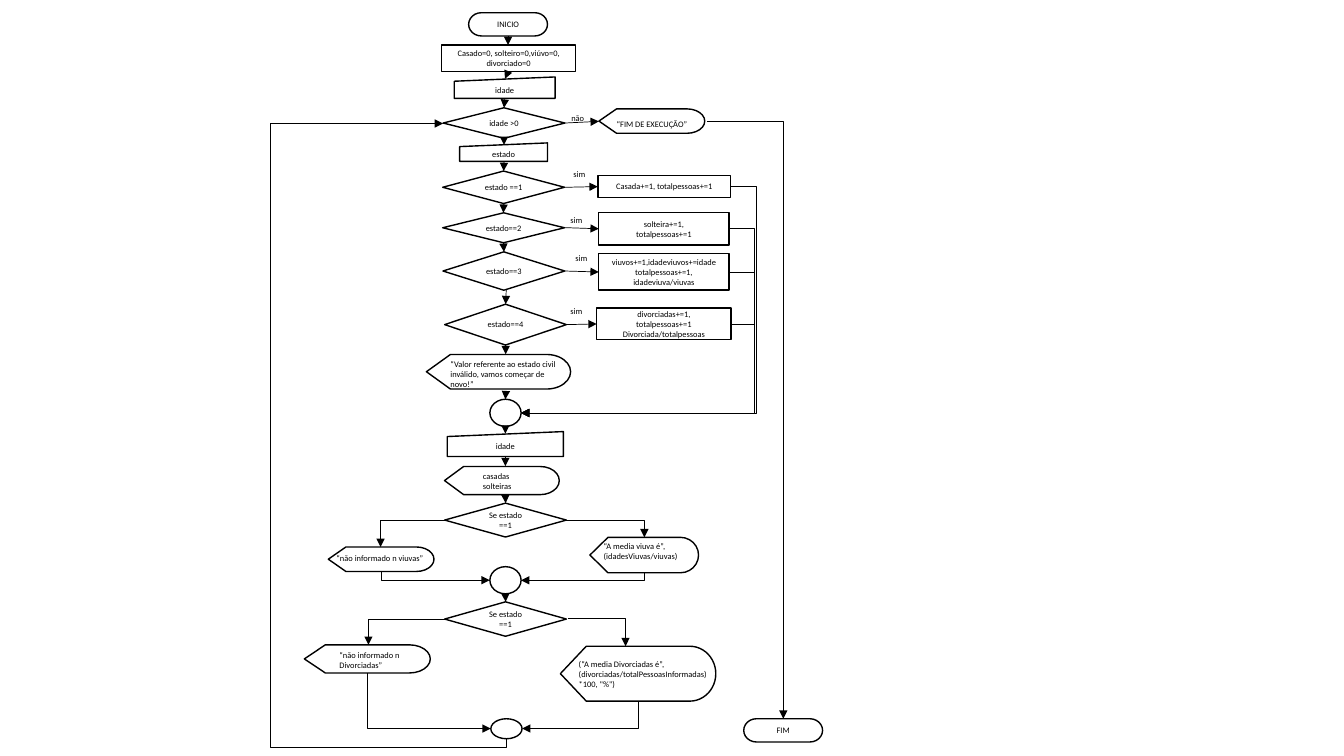
from lxml.etree import SubElement
from pptx import Presentation
from pptx.dml.color import RGBColor
from pptx.enum.shapes import MSO_CONNECTOR as LINK, MSO_SHAPE as FLOW
from pptx.enum.text import MSO_ANCHOR, PP_ALIGN
from pptx.oxml.ns import qn
from pptx.util import Pt

BLACK = RGBColor(0, 0, 0)
WHITE = RGBColor(255, 255, 255)

deck = Presentation()
deck.slide_width, deck.slide_height = Pt(960), Pt(540)
slide = deck.slides.add_slide(deck.slide_layouts[6])


def write(shape, text, align, wrap=True):
    """Fill a shape with 6 pt text, one paragraph per line."""
    frame = shape.text_frame
    frame.word_wrap = wrap
    frame.text = text
    for paragraph in frame.paragraphs:
        paragraph.alignment = align
        paragraph.font.size = Pt(6)
        paragraph.font.name = "Calibri"
        paragraph.font.color.rgb = BLACK


def arrow(*route):
    """Draw an arrow along the points; bends are traced with the level leg first."""
    drop_first = len(route) > 2 and route[0][0] == route[1][0]
    trace = route[::-1] if drop_first else route
    (x1, y1), (x2, y2) = trace[0], trace[-1]
    kind = LINK.STRAIGHT if len(route) == 2 else LINK.ELBOW
    link = slide.shapes.add_connector(kind, Pt(x1), Pt(y1), Pt(x2), Pt(y2))
    link.line.width = Pt(0.5)
    link.line.color.rgb = BLACK
    properties = link.element.spPr
    if len(route) > 2:
        geometry = properties.find(qn("a:prstGeom"))
        geometry.set("prst", f"bentConnector{len(route) - 1}")
        guides = geometry.find(qn("a:avLst"))
        if guides is None:
            guides = SubElement(geometry, qn("a:avLst"))
        ratios = []
        if len(route) > 3:
            ratios.append((trace[1][0] - x1) / (x2 - x1))
        if len(route) > 4:
            ratios.append((trace[2][1] - y1) / (y2 - y1))
        for number, ratio in enumerate(ratios, 1):
            name = "adj1" if len(route) == 4 else f"adj{number}"
            SubElement(guides, qn("a:gd"), name=name, fmla=f"val {round(ratio * 100000)}")
    tip = "a:headEnd" if drop_first else "a:tailEnd"
    SubElement(properties.find(qn("a:ln")), qn(tip), type="triangle")
    SubElement(properties, qn("a:effectLst"))


# Flowchart steps by kind: left, top, width, height, text
steps = {
    FLOW.FLOWCHART_TERMINATOR: [
        (337.5, 9.2, 56.4, 16.6, "INICIO"),
        (535.5, 517.4, 56.4, 16.6, "FIM"),
    ],
    FLOW.FLOWCHART_PROCESS: [
        (315.4, 32.2, 95.8, 19, "Casado=0, solteiro=0,viúvo=0, divorciado=0"),
        (427, 125.3, 95, 16, "Casada+=1, totalpessoas+=1"),
        (427.7, 151.9, 93, 23, "solteira+=1,\ntotalpessoas+=1"),
        (427.7, 181.2, 93, 26,
         "viuvos+=1,idadeviuvos+=idade\ntotalpessoas+=1,\nidadeviuva/viuvas"),
        (426.2, 220.1, 96, 22.4, "divorciadas+=1,\ntotalpessoas+=1\nDivorciada/totalpessoas"),
    ],
    FLOW.FLOWCHART_MANUAL_INPUT: [
        (324.5, 55, 72, 15.3, "idade"),
        (328.3, 102.1, 62.8, 13.2, "estado"),
        (319.5, 308.3, 83, 17.8, "idade"),
    ],
    FLOW.FLOWCHART_DECISION: [
        (left, top, 87, height, text) for left, top, height, text in [
            (316.5, 77, 21.8, "idade >0"),
            (316.2, 122.2, 23.2, "estado ==1"),
            (316.2, 152, 21.4, "estado==2"),
            (316.4, 179.9, 27.4, "estado==3"),
            (317.6, 217.3, 29.2, "estado==4"),
            (317.6, 359.4, 24.2, "Se estado ==1"),
            (317.6, 429.9, 24.6, "Se estado ==1"),
        ]
    ],
    FLOW.FLOWCHART_CONNECTOR: [
        (349.9, 285.2, 22.3, 19.4, ""),
        (349.9, 404.8, 22.3, 19.4, ""),
        (350.6, 513.4, 22.3, 14.3, ""),
    ],
    FLOW.FLOWCHART_DISPLAY: [
        (304.6, 253.2, 103, 24.7, ""),
        (317.5, 333.2, 82, 20.1, ""),
        (421.4, 383.8, 77.6, 25.3, ""),
        (234.5, 390.7, 75.5, 17.5, ""),
        (400.3, 461.6, 111, 39.2, ""),
        (217.4, 460.6, 90, 20.1, ""),
        (427.8, 77.8, 75.6, 17.4, ""),
    ],
}
# The two terminators keep their tops in line with the chart's edges
steps[FLOW.FLOWCHART_TERMINATOR] = [
    (334.8, 9.1, 56.3, 16.6, "INICIO"),
    (531.3, 513.4, 56.3, 16.6, "FIM"),
]
for kind, places in steps.items():
    for left, top, width, height, text in places:
        step = slide.shapes.add_shape(kind, Pt(left), Pt(top), Pt(width), Pt(height))
        step.shadow.inherit = False
        step.line.color.rgb = BLACK
        step.line.width = Pt(1)
        if kind == FLOW.FLOWCHART_DISPLAY:
            step.fill.background()
        else:
            step.fill.solid()
            step.fill.fore_color.rgb = WHITE
        if text:
            step.text_frame.vertical_anchor = MSO_ANCHOR.MIDDLE
            write(step, text, PP_ALIGN.CENTER)

# Branch labels and messages: left, top, width, height, text, wraps
captions = [
    (401, 77, 25.2, 14.4, "não", True),
    (402.5, 117.4, 26, 14.4, "sim", True),
    (400.3, 149.8, 26, 14.4, "sim", True),
    (403.9, 177.1, 26, 14.4, "sim", True),
    (400.3, 215.3, 26, 14.4, "sim", True),
    (314.6, 252.7, 93, 28.8, "“Valor referente ao estado civil inválido, vamos começar de novo!”", True),
    (337.9, 332.8, 60, 21.6, "casadas\nsolteiras", True),
    (424.1, 383.2, 72.7, 21.6, "“A media viuva é”, (idadesViuvas/viuvas)", True),
    (233.3, 391.2, 77, 14.4, "“não informado n viuvas”", True),
    (406.3, 467.3, 106, 28.8,
     "(“A media Divorciadas é”, (divorciadas/totalPessoasInformadas)*100, \"%\")", True),
    (235.4, 460.6, 77, 21.6, "“não informado n Divorciadas”", True),
    (433.4, 81.4, 65.5, 14.4, "“FIM DE EXECUÇÃO”", False),
]
for left, top, width, height, text, wraps in captions:
    caption = slide.shapes.add_textbox(Pt(left), Pt(top), Pt(width), Pt(height))
    write(caption, text, PP_ALIGN.LEFT, wraps)

# Main column, top to bottom: start x, start y, end x, end y
for x1, y1, x2, y2 in [
    (362.9, 25.5, 362.9, 32.2), (362.9, 51.2, 360.7, 56.3),
    (360.7, 70.3, 360, 77), (360, 98.8, 360, 103.5),
    (360, 115.3, 359.8, 122.2), (359.8, 145.4, 359.6, 152),
    (359.6, 173.4, 360, 179.9), (361.6, 207.3, 361.2, 217.3),
    (361.2, 246.5, 361.2, 253), (361.2, 282, 361, 285.2),
    (361, 304.6, 361, 309.8), (361, 326.1, 361, 333),
    (361, 354, 361.2, 359.4), (361, 424.6, 361.2, 429.9),
]:
    arrow((x1, y1), (x2, y2))

# Branches to the right of the decisions
for x1, y1, x2, y2 in [
    (403.5, 87.9, 427.8, 86.7), (403.2, 133.8, 427, 133.3),
    (403.2, 162.6, 427.7, 163.4), (403.4, 193.6, 427.7, 194.3),
    (404.6, 231.9, 426.2, 231.4),
]:
    arrow((x1, y1), (x2, y2))

# Each count returns to the first junction along a shared rail
for start, y, rail in [(522, 133.3, 540), (520.7, 163.4, 538.8),
                       (520.7, 194.3, 538.8), (522.4, 231.4, 538.8)]:
    arrow((start, y), (rail, y), (rail, 295), (372.2, 295))

# Exit, and the two yes/no forks with their junctions
for route in [
    ((505, 86.7), (559.5, 86.7), (559.5, 513.4)),
    ((317.6, 371.5), (271.9, 371.5), (271.9, 390.7)),
    ((404.6, 371.5), (460.3, 371.5), (460.3, 383.8)),
    ((272.3, 408.2), (272.3, 414.5), (349.9, 414.5)),
    ((460.3, 409.1), (460.3, 414.5), (372.2, 414.5)),
    ((317.6, 442.2), (263.2, 442.2), (263.2, 460.6)),
    ((406, 442), (446.8, 442), (446.8, 461.6)),
    ((262.4, 480.7), (262.4, 520.4), (350.6, 520.4)),
    ((456, 500.8), (456, 520.4), (372.9, 520.4)),
]:
    arrow(*route)

# Loop back to the first decision
arrow((361.8, 527.7), (361.8, 534), (193.3, 534), (193.3, 88.2), (316.5, 88.2))

deck.save("out.pptx")
